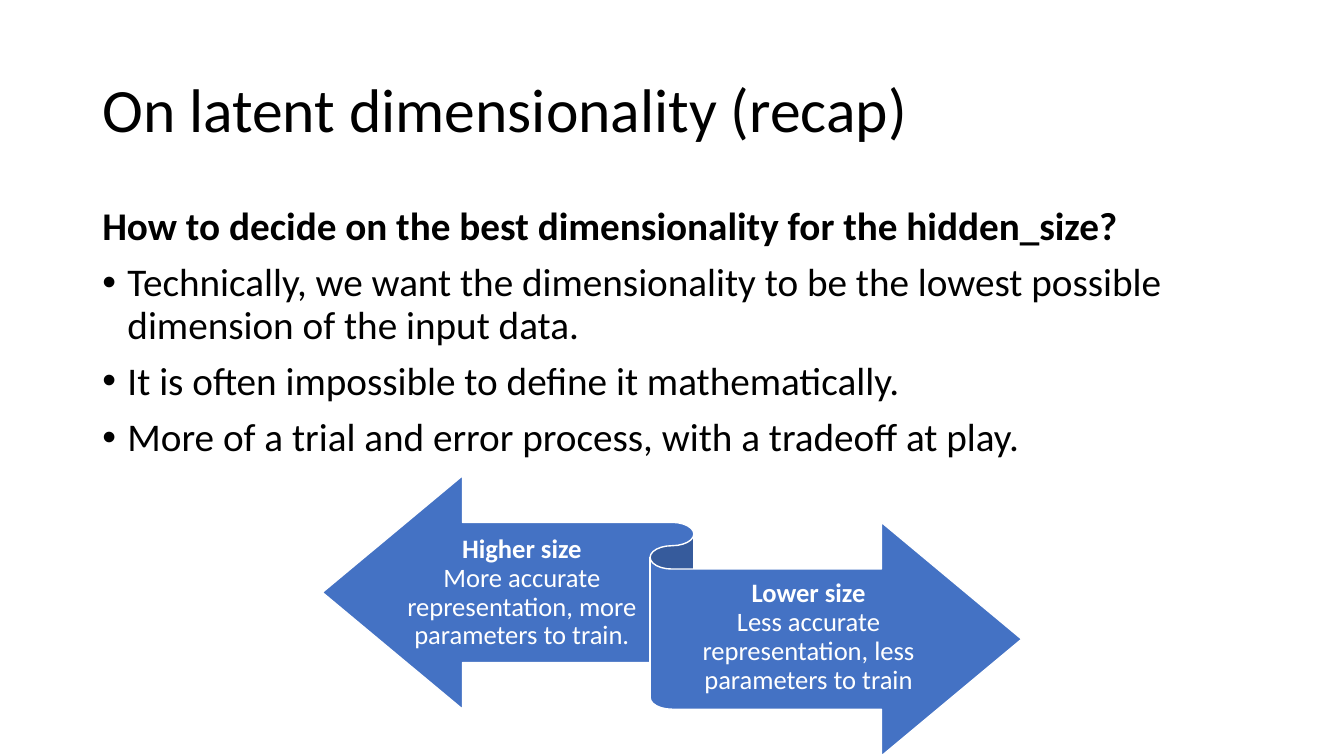
from dataclasses import dataclass

from lxml.etree import SubElement
from pptx import Presentation
from pptx.dml.color import RGBColor
from pptx.enum.shapes import MSO_SHAPE
from pptx.enum.text import MSO_ANCHOR, PP_ALIGN
from pptx.oxml.ns import qn
from pptx.util import Emu, Pt

EMU_PER_PX = 9525


def px(length):
    return Emu(length * EMU_PER_PX)


@dataclass(frozen=True)
class Theme:
    font: str = "Calibri"
    ink: str = "000000"
    paper: str = "FFFFFF"
    accent: str = "4472C4"
    title_size: int = 44
    body_size: int = 28
    label_size: int = 19
    line_spacing: float = 0.9


def write_span(para, text, *, font, size, color, bold=False):
    """Append one formatted span of text to a paragraph."""
    span = para.add_run()
    span.text = text
    span.font.name = font
    span.font.size = Pt(size)
    span.font.bold = bold
    span.font.color.rgb = RGBColor.from_string(color)


class SlideBuilder:
    def __init__(self, page, theme):
        self.page = page
        self.theme = theme

    def text_box(self, left, top, width, height, anchor=MSO_ANCHOR.TOP):
        box = self.page.shapes.add_textbox(px(left), px(top), px(width), px(height))
        frame = box.text_frame
        frame.word_wrap = True
        frame.vertical_anchor = anchor
        return frame

    def style(self, size, color):
        return {"font": self.theme.font, "size": size, "color": color}

    def title(self, text, *bounds):
        para = self.text_box(*bounds, anchor=MSO_ANCHOR.MIDDLE).paragraphs[0]
        para.line_spacing = self.theme.line_spacing
        write_span(para, text, **self.style(self.theme.title_size, self.theme.ink))

    def bullet(self, para, indent=24):
        properties = para._p.get_or_add_pPr()
        properties.set("marL", str(px(indent)))
        properties.set("indent", str(-px(indent)))
        SubElement(properties, qn("a:buFont")).set("typeface", "Arial")
        SubElement(properties, qn("a:buChar")).set("char", "•")

    def body(self, question, points, *bounds):
        frame = self.text_box(*bounds)
        style = self.style(self.theme.body_size, self.theme.ink)
        lead = frame.paragraphs[0]
        lead.line_spacing = self.theme.line_spacing
        write_span(lead, question, bold=True, **style)
        for point in points:
            para = frame.add_paragraph()
            self.bullet(para)
            para.line_spacing = self.theme.line_spacing
            para.space_before = Pt(10)
            write_span(para, point, **style)

    def ribbon(self, left, top, width, height):
        shape = self.page.shapes.add_shape(
            MSO_SHAPE.LEFT_RIGHT_RIBBON, px(left), px(top), px(width), px(height))
        shape.shadow.inherit = False
        shape.fill.solid()
        shape.fill.fore_color.rgb = RGBColor.from_string(self.theme.accent)
        shape.line.color.rgb = RGBColor.from_string(self.theme.paper)
        shape.line.width = Pt(1)

    def ribbon_label(self, heading, detail, *bounds):
        frame = self.text_box(*bounds, anchor=MSO_ANCHOR.MIDDLE)
        frame.margin_left = frame.margin_right = 0
        frame.margin_top, frame.margin_bottom = px(7), px(8)
        para = frame.paragraphs[0]
        para.alignment = PP_ALIGN.CENTER
        para.line_spacing = self.theme.line_spacing
        style = self.style(self.theme.label_size, self.theme.paper)
        write_span(para, heading, bold=True, **style)
        para.add_line_break()
        write_span(para, detail, **style)


def main():
    deck = Presentation()
    deck.slide_width, deck.slide_height = px(1280), px(720)
    page = deck.slides.add_slide(deck.slide_layouts[6])
    slide = SlideBuilder(page, Theme())

    # Title and body
    slide.title("On latent dimensionality (recap)", 88, 38, 1104, 139)
    slide.body(
        "How to decide on the best dimensionality for the hidden_size?",
        [
            "Technically, we want the dimensionality to be the lowest possible "
            "dimension of the input data.",
            "It is often impossible to define it mathematically.",
            "More of a trial and error process, with a tradeoff at play.",
        ],
        88, 192, 1104, 457)

    # Tradeoff ribbon
    slide.ribbon(307, 453, 666, 267)
    slide.ribbon_label(
        "Higher size", "More accurate representation, more parameters to train.",
        387, 500, 220, 131)
    slide.ribbon_label(
        "Lower size", "Less accurate representation, less parameters to train",
        640, 542, 260, 131)

    deck.save("out.pptx")


if __name__ == "__main__":
    main()
